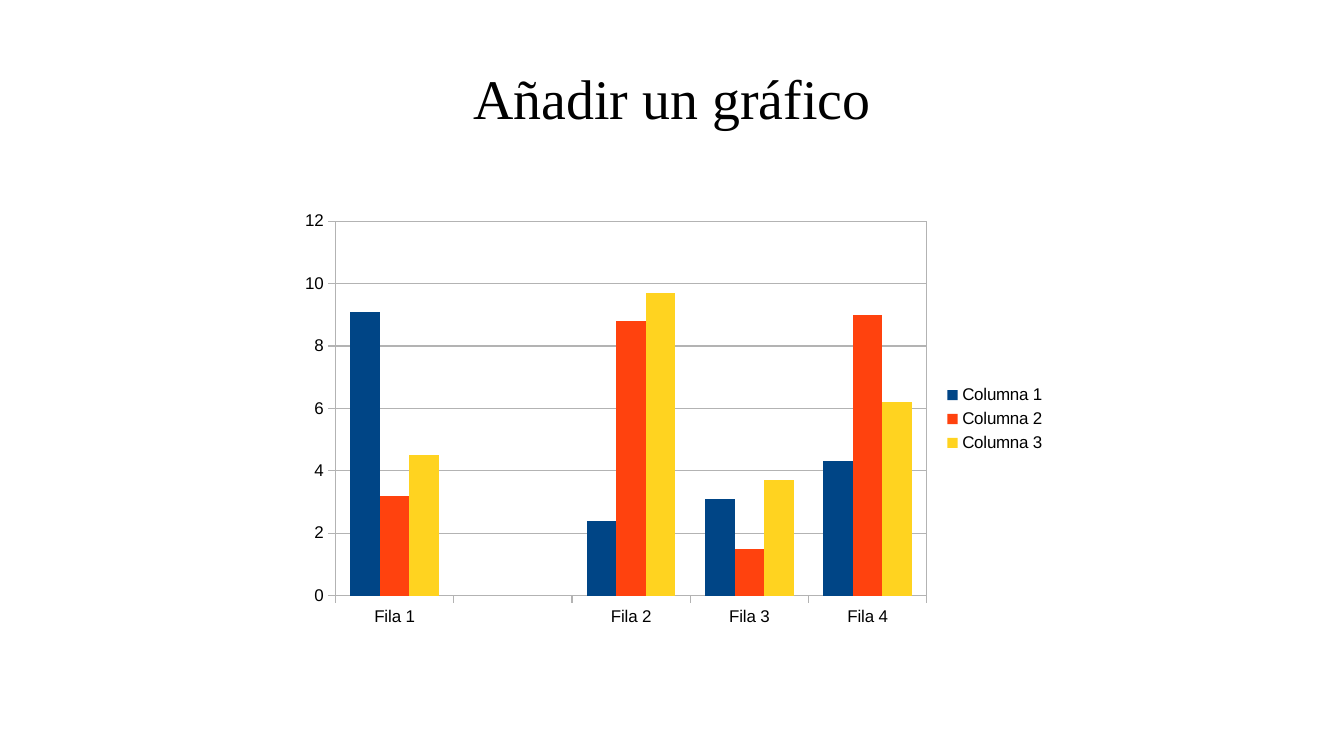
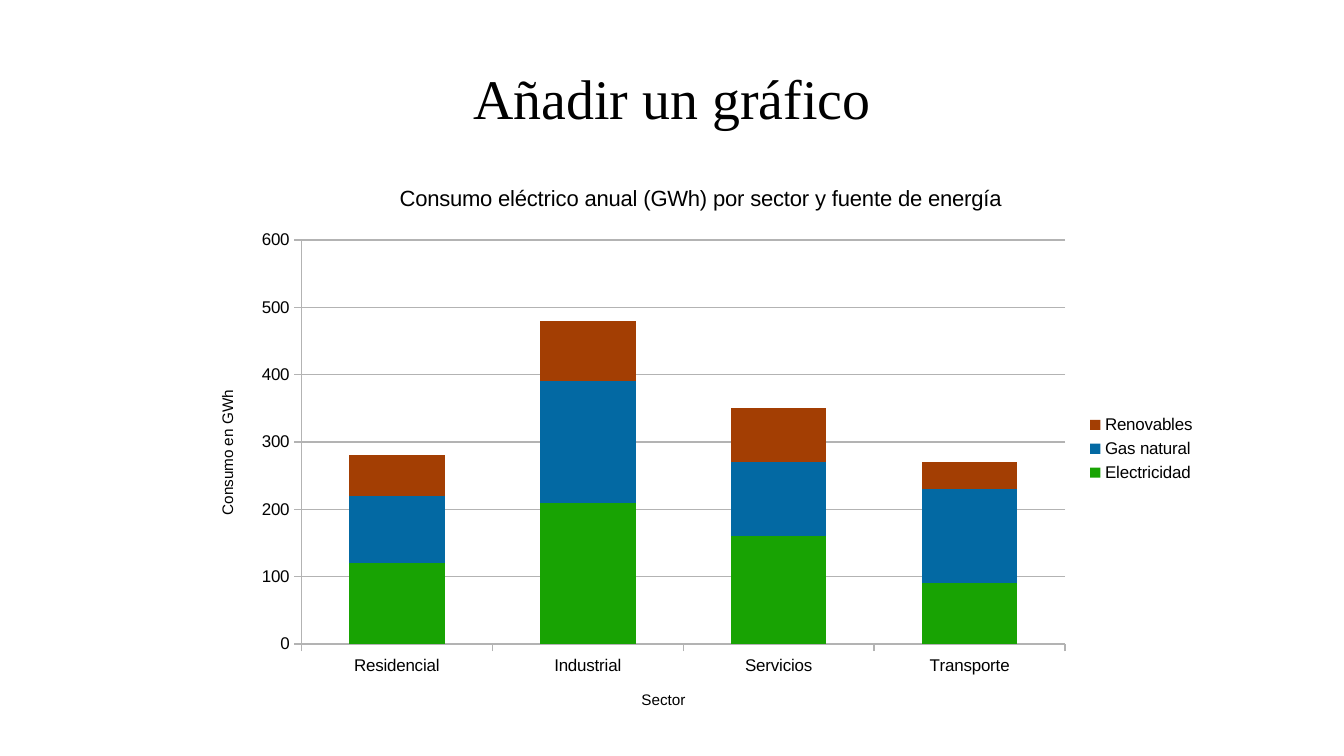
from lxml import etree
from pptx import Presentation
from pptx.chart.data import CategoryChartData
from pptx.dml.color import RGBColor
from pptx.enum import chart as chart_enum, text
from pptx.oxml import ns
from pptx.util import Cm, Pt

COLORS = {
    "text": "000000", "background": "FFFFFF", "line": "B3B3B3",
    "navy": "004586", "orange": "FF420E", "yellow": "FFD320",
    "green": "18A303", "blue": "0369A3", "brown": "A33E03",
}
TITLE_FONT, CHART_FONT = "Times New Roman", "Arial"
TITLE_BOX = (1.4, 0.7, 25.2, 2.65)

# Content: boxes are left, top, width, height in cm on the slide
SLIDES = [
    {
        "title": "Añadir un gráfico",
        "type": chart_enum.XL_CHART_TYPE.COLUMN_CLUSTERED,
        "box": (6.04, 4.23, 16, 9),
        "plot": (6.99, 4.61, 12.32, 7.8),
        "overlap": 0,
        "frame": True,
        "categories": ["Fila 1", "", "Fila 2", "Fila 3", "Fila 4"],
        "series": [
            ("Columna 1", "navy", [9.1, None, 2.4, 3.1, 4.3]),
            ("Columna 2", "orange", [3.2, None, 8.8, 1.5, 9]),
            ("Columna 3", "yellow", [4.5, None, 9.7, 3.7, 6.2]),
        ],
        "scale": (12, 2),
    },
    {
        "title": "Añadir un gráfico",
        "type": chart_enum.XL_CHART_TYPE.COLUMN_STACKED,
        "box": (4.01, 3.4, 21.16, 11.9),
        "plot": (6.28, 5, 15.91, 8.42),
        "overlap": 100,
        "frame": False,
        "categories": ["Residencial", "Industrial", "Servicios", "Transporte"],
        "series": [
            ("Electricidad", "green", [120, 210, 160, 90]),
            ("Gas natural", "blue", [100, 180, 110, 140]),
            ("Renovables", "brown", [60, 90, 80, 40]),
        ],
        "scale": (600, 100),
        "chart_title": "Consumo eléctrico anual (GWh) por sector y fuente de energía",
        "category_title": "Sector",
        "value_title": "Consumo en GWh",
    },
]


def color(name):
    return RGBColor.from_string(COLORS[name])


def set_font(font, size, name=CHART_FONT):
    font.name, font.size, font.bold = name, Pt(size), False
    font.color.rgb = color("text")


def set_line(line):
    line.color.rgb = color("line")
    line.width = Pt(0)


def add_title(slide, wording):
    title = slide.shapes.title
    title.left, title.top, title.width, title.height = map(Cm, TITLE_BOX)
    frame = title.text_frame
    frame.text = wording
    frame.margin_left = frame.margin_top = frame.margin_right = frame.margin_bottom = 0
    frame.vertical_anchor = text.MSO_ANCHOR.MIDDLE
    frame.auto_size = text.MSO_AUTO_SIZE.NONE
    paragraph = frame.paragraphs[0]
    paragraph.alignment = text.PP_ALIGN.CENTER
    set_font(paragraph.font, 33, TITLE_FONT)


def set_heading(owner, wording, size):
    """Title of a chart or of an axis."""
    owner.has_title = wording is not None
    if wording:
        frame = (owner.chart_title if hasattr(owner, "chart_title") else owner.axis_title).text_frame
        frame.text = wording
        set_font(frame.paragraphs[0].font, size)


def place_plot(chart, box, plot, framed):
    """Fix the inner plot area as fractions of the chart, with an optional frame."""
    area = chart.element.find(".//" + ns.qn("c:plotArea"))
    for old in area.findall(ns.qn("c:layout")):
        area.remove(old)
    layout = etree.Element(ns.qn("c:layout"))
    manual = etree.SubElement(layout, ns.qn("c:manualLayout"))
    settings = {
        "layoutTarget": "inner", "xMode": "edge", "yMode": "edge",
        "x": (plot[0] - box[0]) / box[2], "y": (plot[1] - box[1]) / box[3],
        "w": plot[2] / box[2], "h": plot[3] / box[3],
    }
    for tag, value in settings.items():
        etree.SubElement(manual, ns.qn("c:" + tag)).set("val", str(value))
    area.insert(0, layout)
    if framed:
        properties = etree.SubElement(area, ns.qn("c:spPr"))
        etree.SubElement(properties, ns.qn("a:noFill"))
        line = etree.SubElement(properties, ns.qn("a:ln"), w="0")
        fill = etree.SubElement(line, ns.qn("a:solidFill"))
        etree.SubElement(fill, ns.qn("a:srgbClr"), val=COLORS["line"])


def add_chart(slide, content):
    data = CategoryChartData()
    data.categories = content["categories"]
    for name, _, values in content["series"]:
        data.add_series(name, values)
    chart = slide.shapes.add_chart(content["type"], *map(Cm, content["box"]), data).chart
    set_font(chart.font, 10)
    set_heading(chart, content.get("chart_title"), 13)

    # Bars
    bars = chart.plots[0]
    bars.gap_width, bars.overlap, bars.vary_by_categories = 100, content["overlap"], False
    for series, (_, fill, _) in zip(bars.series, content["series"]):
        series.format.fill.solid()
        series.format.fill.fore_color.rgb = color(fill)

    # Axes
    for axis, key in ((chart.category_axis, "category_title"), (chart.value_axis, "value_title")):
        set_heading(axis, content.get(key), 9)
        axis.major_tick_mark = chart_enum.XL_TICK_MARK.OUTSIDE
        axis.minor_tick_mark = chart_enum.XL_TICK_MARK.NONE
        set_font(axis.tick_labels.font, 10)
        set_line(axis.format.line)
    value_axis = chart.value_axis
    value_axis.minimum_scale = 0
    value_axis.maximum_scale, value_axis.major_unit = content["scale"]
    value_axis.has_major_gridlines = True
    set_line(value_axis.major_gridlines.format.line)

    # Legend
    chart.has_legend = True
    chart.legend.position = chart_enum.XL_LEGEND_POSITION.RIGHT
    chart.legend.include_in_layout = False
    set_font(chart.legend.font, 10)
    place_plot(chart, content["box"], content["plot"], content["frame"])


def main():
    presentation = Presentation()
    presentation.slide_width, presentation.slide_height = Cm(28), Cm(15.75)
    background = presentation.slide_master.background.fill
    background.solid()
    background.fore_color.rgb = color("background")
    for content in SLIDES:
        slide = presentation.slides.add_slide(presentation.slide_layouts[5])
        add_title(slide, content["title"])
        add_chart(slide, content)
    presentation.save("out.pptx")


if __name__ == "__main__":
    main()
